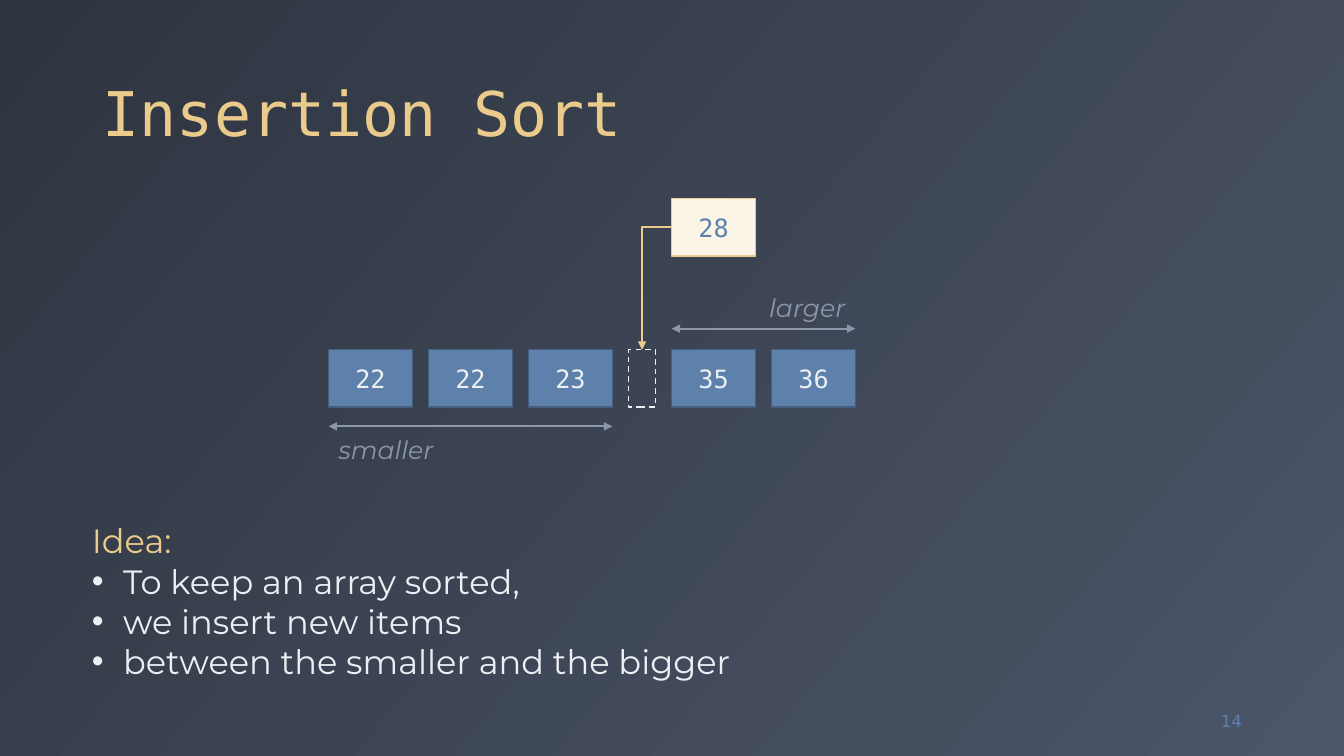
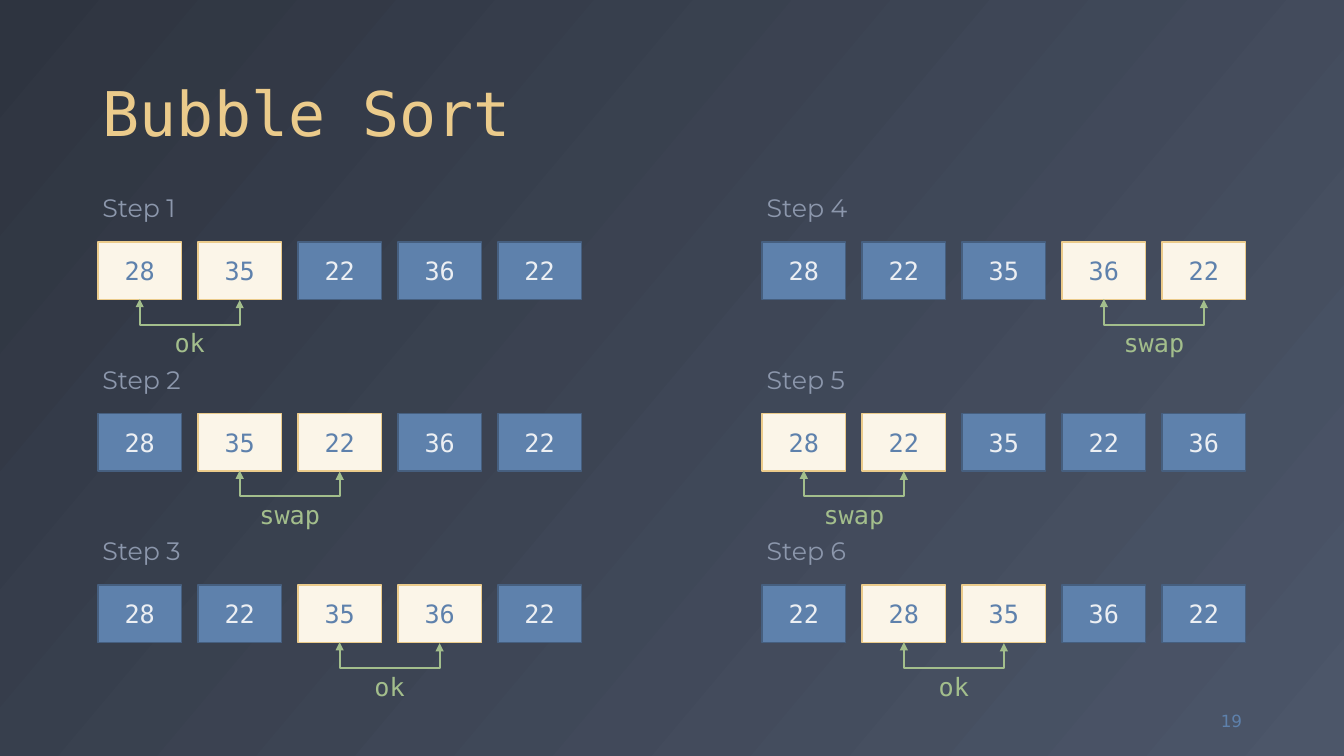
from pptx import Presentation
from pptx.dml.color import RGBColor
from pptx.enum.dml import MSO_LINE
from pptx.enum.shapes import MSO_CONNECTOR, MSO_SHAPE
from pptx.enum.text import MSO_ANCHOR, MSO_AUTO_SIZE, PP_ALIGN
from pptx.oxml.ns import qn
from pptx.util import Inches, Pt
from lxml import etree

RECT = MSO_SHAPE.RECTANGLE
LINE, ELBOW = MSO_CONNECTOR.STRAIGHT, MSO_CONNECTOR.ELBOW
DASH = MSO_LINE.DASH
LEFT, MID, RIGHT = PP_ALIGN.LEFT, PP_ALIGN.CENTER, PP_ALIGN.RIGHT
TOP, HALF, BASE = MSO_ANCHOR.TOP, MSO_ANCHOR.MIDDLE, MSO_ANCHOR.BOTTOM
FIXED = MSO_AUTO_SIZE.NONE

WIDE, HIGH = Inches(13.33), Inches(7.5)
DARK, SLATE = "2E3440", "4C5669"
GOLD, CREAM, WHITE = "EBCB8B", "FBF5E8", "ECEFF3"
BLUE, NAVY, GREY, GREEN = "5E81AC", "465F7F", "8C97AC", "A3BE8C"

MONO, SANS = "DejaVu Sans Mono", "Montserrat"
HEAD = {"name": MONO, "size": Pt(44)}
CODE = {"name": MONO, "size": Pt(18)}
NOTE = {"name": SANS, "size": Pt(18)}
SLANT = {**NOTE, "italic": True}
BODY = {"name": SANS, "size": Pt(24)}
PAGE = {"name": "DejaVu Sans", "size": Pt(12)}

CELL_W, CELL_H, PITCH = 6.23, 7.6, 7.44
GAP = PITCH - CELL_W
TEXT_H = 5.33

STEPS = [
    ("28 35 22 36 22", 0, "ok"),
    ("28 35 22 36 22", 1, "swap"),
    ("28 22 35 36 22", 2, "ok"),
    ("28 22 35 36 22", 3, "swap"),
    ("28 22 35 22 36", 0, "swap"),
    ("22 28 35 36 22", 1, "ok"),
]


def across(share):
    """Turn a percentage of the slide width into a length."""
    return round(WIDE * share / 100)


def down(share):
    """Turn a percentage of the slide height into a length."""
    return round(HIGH * share / 100)


def frame(x, y, w, h):
    """Turn four percentages into left, top, width and height."""
    return across(x), down(y), across(w), down(h)


def hue(code):
    """Turn a hex string into a colour."""
    return RGBColor.from_string(code)


def apply(thing, style):
    """Set each attribute in a dict of format values."""
    for key, value in style.items():
        setattr(thing, key, value)


def write(para, words, style, ink, align=LEFT):
    """Put one formatted run into a paragraph."""
    para.alignment = align
    run = para.add_run()
    run.text = words
    apply(run.font, style)
    run.font.color.rgb = hue(ink)


def label(shapes, place, words, style, ink, align=LEFT, anchor=TOP):
    """Add a text box with one line of text."""
    text = shapes.add_textbox(*frame(*place)).text_frame
    apply(text, {"word_wrap": True, "vertical_anchor": anchor})
    write(text.paragraphs[0], words, style, ink, align)


def block(shapes, place, edge):
    """Add an outlined rectangle without a shadow."""
    box = shapes.add_shape(RECT, *frame(*place))
    box.shadow.inherit = False
    box.line.color.rgb = hue(edge)
    box.line.width = Pt(1)
    return box


def cell(shapes, x, y, words, lit=False):
    """Add one array item, pale when it is lit."""
    fill, edge, ink = (CREAM, GOLD, BLUE) if lit else (BLUE, NAVY, WHITE)
    box = block(shapes, (x, y, CELL_W, CELL_H), edge)
    box.fill.solid()
    box.fill.fore_color.rgb = hue(fill)
    write(box.text_frame.paragraphs[0], words, CODE, ink, MID)


def array(shapes, x, y, items, lit=()):
    """Add a row of evenly spaced array items."""
    for spot, item in enumerate(items):
        cell(shapes, x + spot * PITCH, y, item, spot in lit)


def arrow(shapes, kind, ends, ink, tips):
    """Add a connector with arrowheads and return its properties."""
    link = shapes.add_connector(kind, *ends)
    link.line.color.rgb = hue(ink)
    link.line.width = Pt(1.5)
    props = link._element.spPr
    for tip in tips:
        etree.SubElement(props.find(qn("a:ln")), qn(tip), type="triangle")
    etree.SubElement(props, qn("a:effectLst"))
    return props


def span(shapes, x, y, w):
    """Add a level arrow with a head at each end."""
    ends = across(x), down(y), across(x + w), down(y)
    arrow(shapes, LINE, ends, GREY, ("a:headEnd", "a:tailEnd"))


def corner(shapes, x, y, w, h):
    """Add an arrow that runs left and then down."""
    ends = across(x), down(y), across(x + w), down(y + h)
    props = arrow(shapes, ELBOW, ends, GOLD, ("a:tailEnd",))
    props.find(qn("a:prstGeom")).set("prst", "bentConnector2")
    apply(props.xfrm, {"rot": 180, "flipV": True})


def bracket(shapes, x, y):
    """Add a bracket one pitch wide, hung below its middle point."""
    thin, long, drop = Inches(0.01), across(PITCH), Inches(0.25)
    left, top = across(x) - thin // 2, down(y) - long // 2
    ends = left, top, left + thin, top + long
    props = arrow(shapes, ELBOW, ends, GREEN, ("a:headEnd", "a:tailEnd"))
    apply(props.xfrm, {"rot": 90, "flipH": True})
    guides = props.find(qn("a:prstGeom")).get_or_add_avLst()
    ratio = round(-100000 * drop / thin)
    etree.SubElement(guides, qn("a:gd"), name="adj1", fmla=f"val {ratio}")


def place(holder, spot, anchor):
    """Move a placeholder and return its text frame."""
    keys = "left", "top", "width", "height"
    apply(holder, dict(zip(keys, frame(*spot))))
    text = holder.text_frame
    apply(text, {"word_wrap": True, "auto_size": FIXED,
                 "vertical_anchor": anchor})
    return text


def start(deck, layout, title, page):
    """Add a slide with its title and page number."""
    slide = deck.slides.add_slide(deck.slide_layouts[layout])
    para = place(slide.shapes.title, (6.9, 2.4, 86.25, 18.13),
                 BASE).paragraphs[0]
    para.line_spacing = 0.9
    write(para, title, HEAD, GOLD)
    label(slide.shapes, (86.93, 92.67, 6.23, TEXT_H), page, PAGE, BLUE,
          RIGHT, HALF)
    return slide


def points(holder, lead, items):
    """Fill the body with a lead line and a bullet list."""
    text = place(holder, (6.08, 68.13, 50.2, 22.93), TOP)
    for spot, words in enumerate([lead, *items]):
        para = text.add_paragraph() if spot else text.paragraphs[0]
        props = para._p.get_or_add_pPr()
        dent = Inches(0.31) if spot else 0
        props.set("marL", str(dent))
        props.set("indent", str(-dent))
        if spot:
            etree.SubElement(props, qn("a:buChar"), char="•")
        else:
            etree.SubElement(props, qn("a:buNone"))
        para.space_before = Pt(0)
        write(para, words, BODY, WHITE if spot else GOLD)


def insert(deck):
    """Build the slide on insertion sort."""
    slide = start(deck, 1, "Insertion Sort", "14")
    shapes = slide.shapes
    x, y, card = 24.45, 46.27, 26.27
    slot_x, slot_w = x + 3 * PITCH, 2
    more_x = slot_x + slot_w + GAP
    less_w, more_w = 2 * PITCH + CELL_W, PITCH + CELL_W

    array(shapes, x, y, ["22", "22", "23"])
    array(shapes, more_x, y, ["35", "36"])
    slot = block(shapes, (slot_x, y, slot_w, CELL_H), WHITE)
    slot.fill.background()
    slot.line.dash_style = DASH

    bend, mid = slot_x + slot_w / 2, card + CELL_H / 2
    corner(shapes, bend, mid, more_x - bend, y - mid)
    cell(shapes, more_x, card, "28", True)
    span(shapes, x, 56.4, less_w)
    label(shapes, (x, 56.8, less_w, TEXT_H), "smaller", SLANT, GREY)
    span(shapes, more_x, 43.47, more_w)
    label(shapes, (more_x, 38, more_w, TEXT_H), "larger", SLANT, GREY, RIGHT)
    points(slide.placeholders[1], "Idea:", [
        "To keep an array sorted,",
        "we insert new items",
        "between the smaller and the bigger",
    ])


def step(shapes, count, items, first, verdict):
    """Add one step: its name, array, bracket and verdict."""
    col, row = divmod(count, 3)
    x, y = 7.28 + col * 49.42, 32 + row * 22.7
    label(shapes, (x - 0.4, y - 7.2, 9, TEXT_H), f"Step {count + 1}",
          NOTE, GREY)
    array(shapes, x, y, items.split(), (first, first + 1))
    mid = x + first * PITCH + (PITCH + CELL_W) / 2
    bracket(shapes, mid, y + CELL_H)
    label(shapes, (mid - 4.35, y + 10.7, 8.7, TEXT_H), verdict, CODE, GREEN,
          MID)


def bubble(deck):
    """Build the slide on bubble sort."""
    slide = start(deck, 5, "Bubble Sort", "19")
    for count, parts in enumerate(STEPS):
        step(slide.shapes.add_group_shape().shapes, count, *parts)


def backdrop(deck):
    """Give the slide master its gradient."""
    fill = deck.slide_master.background.fill
    fill.gradient()
    fill.gradient_angle = 320
    for spot, code in enumerate((DARK, SLATE)):
        stop = fill.gradient_stops[spot]
        stop.position = spot
        stop.color.rgb = hue(code)


def main():
    """Build and save the deck."""
    deck = Presentation()
    apply(deck, {"slide_width": WIDE, "slide_height": HIGH})
    backdrop(deck)
    insert(deck)
    bubble(deck)
    deck.save("out.pptx")


if __name__ == "__main__":
    main()
